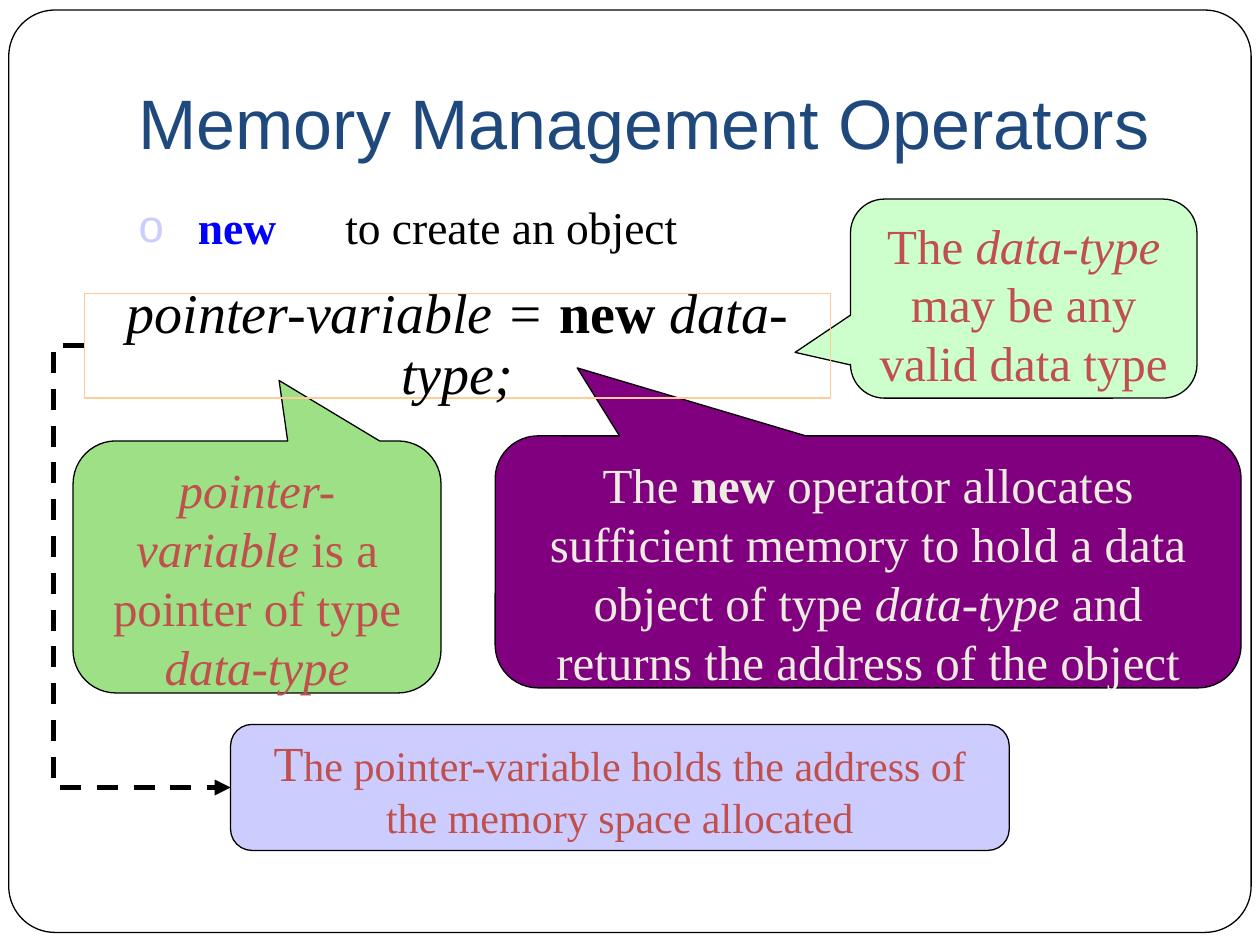
from dataclasses import dataclass
from typing import Optional

import pptx
import pptx.dml.color
import pptx.enum.dml
import pptx.enum.shapes
import pptx.enum.text
import pptx.oxml
import pptx.oxml.ns
import pptx.util

Inches, Pt = pptx.util.Inches, pptx.util.Pt
RGBColor = pptx.dml.color.RGBColor
SHAPE = pptx.enum.shapes.MSO_SHAPE
ALIGN = pptx.enum.text.PP_ALIGN
ANCHOR = pptx.enum.text.MSO_ANCHOR
qn = pptx.oxml.ns.qn

BLACK = RGBColor(0x00, 0x00, 0x00)
NAVY = RGBColor(0x1F, 0x49, 0x7D)
BLUE = RGBColor(0x00, 0x00, 0xFF)
RED = RGBColor(0xC0, 0x50, 0x4D)
CREAM = RGBColor(0xEE, 0xEC, 0xE1)
MINT = RGBColor(0xCC, 0xFF, 0xCC)
GREEN = RGBColor(0x9E, 0xE0, 0x86)
PURPLE = RGBColor(0x80, 0x00, 0x80)
LAVENDER = RGBColor(0xCC, 0xCC, 0xFF)
PEACH = RGBColor(0xFF, 0xCC, 0x99)
SERIF = "Times New Roman"


@dataclass
class Run:
    text: str
    bold: bool = False
    italic: bool = False
    size: Optional[float] = None
    color: Optional[RGBColor] = None


@dataclass
class Box:
    kind: int
    at: tuple
    adj: tuple = ()
    fill: Optional[RGBColor] = None
    line: RGBColor = BLACK
    runs: tuple = ()
    color: RGBColor = RED
    size: float = 28
    anchor: int = ANCHOR.TOP
    spacing: float = 1.0


def add_runs(p, runs, size: float, color: RGBColor, font: str = SERIF) -> None:
    for run in runs:
        r = p.add_run()
        r.text = run.text
        r.font.name = font
        r.font.size = Pt(run.size or size)
        r.font.bold, r.font.italic = run.bold, run.italic
        r.font.color.rgb = run.color or color


def add_box(s, box: Box):
    sp = s.shapes.add_shape(box.kind, *map(Inches, box.at))
    sp.shadow.inherit = False
    for i, value in enumerate(box.adj):
        sp.adjustments[i] = value
    if box.fill is None:
        sp.fill.background()
    else:
        sp.fill.solid()
        sp.fill.fore_color.rgb = box.fill
    sp.line.color.rgb = box.line
    sp.line.width = Pt(0.75)
    tf = sp.text_frame
    tf.word_wrap = True
    tf.vertical_anchor = box.anchor
    p = tf.paragraphs[0]
    p.alignment = ALIGN.CENTER
    p.line_spacing = box.spacing
    add_runs(p, box.runs, box.size, box.color)
    return sp


def place(sp, left: float, top: float, width: float, height: float):
    sp.left, sp.top = Inches(left), Inches(top)
    sp.width, sp.height = Inches(width), Inches(height)
    tf = sp.text_frame
    tf.word_wrap = True
    tf.auto_size = pptx.enum.text.MSO_AUTO_SIZE.NONE
    return tf


def add_bullet(p, indent: float, tab: float) -> None:
    pPr = p._p.get_or_add_pPr()
    pPr.set("marL", str(Inches(indent)))
    pPr.set("indent", str(-Inches(indent)))
    color = pptx.oxml.ns.nsdecls("a")
    for xml in (
        f'<a:buClr {color}><a:srgbClr val="{LAVENDER}"/></a:buClr>',
        f'<a:buFont {color} typeface="Arial"/>',
        f'<a:buChar {color} char="o"/>',
        f'<a:tabLst {color}><a:tab pos="{Inches(tab)}" algn="l"/></a:tabLst>',
    ):
        pPr.append(pptx.oxml.parse_xml(xml))


def add_dashed_elbow(s, start, end, bend: float) -> None:
    """Join the left sides of two boxes; bend is a share of the width."""
    c = s.shapes.add_connector(pptx.enum.shapes.MSO_CONNECTOR.ELBOW, 0, 0, 0, 0)
    c.begin_connect(start, 1)
    c.end_connect(end, 1)
    c.line.color.rgb = BLACK
    c.line.width = Pt(3)
    c.line.dash_style = pptx.enum.dml.MSO_LINE.DASH
    spPr = c._element.spPr
    guide = spPr.find(qn("a:prstGeom")).get_or_add_avLst().makeelement(
        qn("a:gd"), {"name": "adj1", "fmla": f"val {round(bend * 100000)}"})
    spPr.find(qn("a:prstGeom")).get_or_add_avLst().append(guide)
    ln = c.line._get_or_add_ln()
    ln.append(ln.makeelement(qn("a:tailEnd"), {"type": "triangle"}))
    spPr.append(spPr.makeelement(qn("a:effectLst"), {}))


FRAME = Box(SHAPE.ROUNDED_RECTANGLE, (0.07, 0.08, 9.86, 7.32), (0.05,))
CALLOUTS = (
    Box(SHAPE.ROUNDED_RECTANGULAR_CALLOUT, (6.75, 1.58, 2.75, 1.58),
        (-0.66, 0.27, 0.17), MINT,
        runs=(Run("The "), Run("data-type ", italic=True),
              Run("may be any valid data type"))),
    Box(SHAPE.ROUNDED_RECTANGULAR_CALLOUT, (0.58, 3.5, 2.92, 2),
        (0.06, -0.74, 0.17), GREEN,
        runs=(Run("pointer-variable", italic=True),
              Run(" is a pointer of type "), Run("data-type", italic=True))),
    Box(SHAPE.ROUNDED_RECTANGULAR_CALLOUT, (3.93, 3.46, 5.92, 2),
        (-0.39, -0.77, 0.17), PURPLE, color=CREAM,
        runs=(Run("The "), Run("new", bold=True),
              Run(" operator allocates sufficient memory to hold a data "
                  "object of type "),
              Run("data-type ", italic=True),
              Run("and returns the address of the object"))),
)
SYNTAX = Box(SHAPE.RECTANGLE, (0.67, 2.33, 5.92, 0.83), line=PEACH,
             color=BLACK, size=32, anchor=ANCHOR.MIDDLE, spacing=0.9,
             runs=(Run("pointer-variable = ", italic=True),
                   Run("new ", bold=True), Run("data-type;", italic=True)))
RESULT = Box(SHAPE.ROUNDED_RECTANGLE, (1.83, 5.75, 6.18, 1), (0.17,), LAVENDER,
             size=24, anchor=ANCHOR.MIDDLE,
             runs=(Run("T", size=28),
                   Run("he pointer-variable holds the address of the memory "
                       "space allocated")))


def main() -> None:
    prs = pptx.Presentation()
    prs.slide_width, prs.slide_height = Inches(10), Inches(7.5)
    s = prs.slides.add_slide(prs.slide_layouts[1])

    # Title
    tf = place(s.shapes.title, 1, 0.15, 8.5, 1.25)
    tf.vertical_anchor = ANCHOR.BOTTOM
    tf.margin_bottom = Inches(0.1)
    p = tf.paragraphs[0]
    p.alignment = ALIGN.LEFT
    add_runs(p, [Run("Memory Management Operators")], 40, NAVY, "Arial")

    # Bulleted list
    p = place(s.placeholders[1], 1, 1.58, 8.5, 5).paragraphs[0]
    p.line_spacing = 0.9
    p.space_before = Pt(0)
    add_bullet(p, indent=0.47, tab=1.64)
    add_runs(p, [Run("new\t", bold=True, color=BLUE),
                 Run("to create an object")], 26, BLACK)

    # Frame, callouts and boxes
    for box in (FRAME, *CALLOUTS):
        add_box(s, box)
    syntax = add_box(s, SYNTAX)
    result = add_box(s, RESULT)

    # Arrow from the syntax to its result
    add_dashed_elbow(s, syntax, result, bend=-0.21)

    prs.save("out.pptx")


if __name__ == "__main__":
    main()
